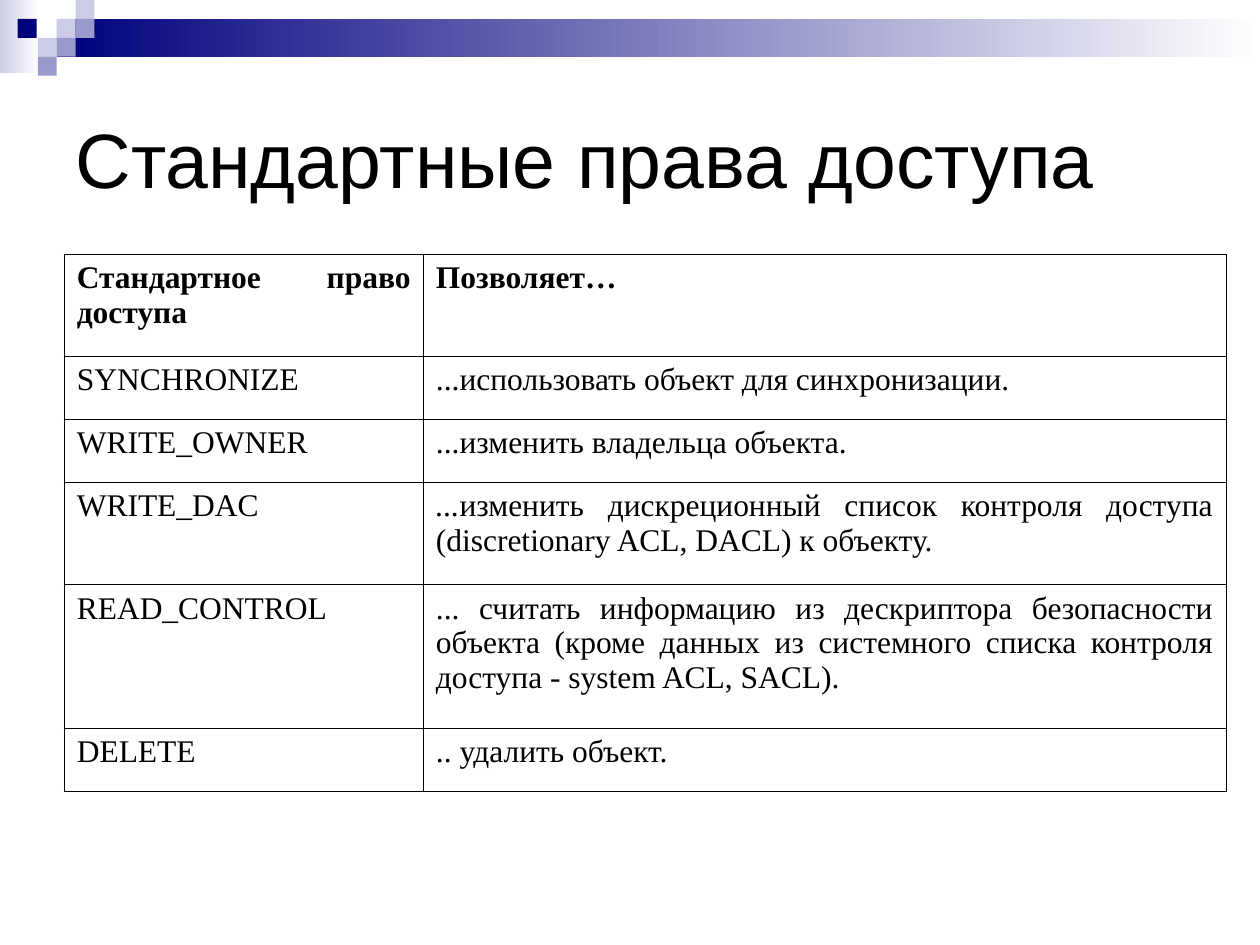
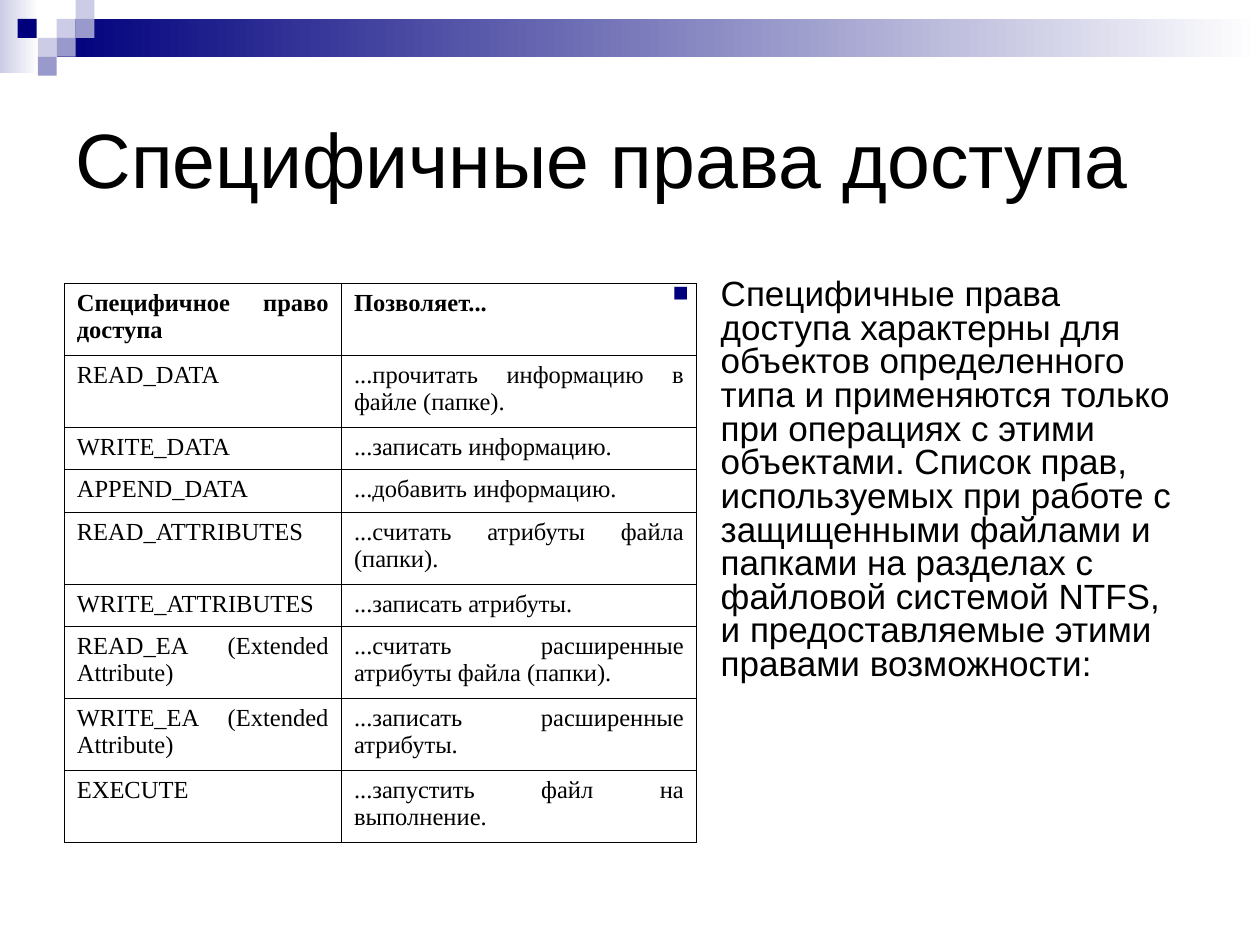
from lxml.etree import SubElement
from pptx import Presentation
from pptx.dml.color import RGBColor
from pptx.enum.shapes import MSO_SHAPE
from pptx.enum.text import MSO_ANCHOR, MSO_AUTO_SIZE, PP_ALIGN
from pptx.oxml.ns import qn
from pptx.util import Inches, Pt

COLORS = {
    "ink": "000000",
    "paper": "FFFFFF",
    "navy": "00007D",
    "violet": "9999CC",
    "lavender": "CCCCE6",
}
GRID_COLUMNS, GRID_ROWS = 100, 75
TITLE_ONLY, TITLE_AND_BODY = 5, 1
SQUARE = 1.5
FIRST_BAND_ID = 100

GRADIENTS = [
    ("lavender", (0, 0, 3.1, 5.8)),
    ("navy", (4.5, 1.5, 95.5, 3)),
]
SQUARES = [
    ("lavender", 4.5, 1.5),
    ("lavender", 6, 0),
    ("violet", 6, 1.5),
    ("lavender", 3, 3),
    ("navy", 1.4, 1.5),
    ("violet", 4.5, 3),
    ("violet", 3, 4.5),
]

STANDARD_RIGHTS = [
    ("Стандартное право доступа", "Позволяет…"),
    ("SYNCHRONIZE", "...использовать объект для синхронизации."),
    ("WRITE_OWNER", "...изменить владельца объекта."),
    ("WRITE_DAC", ("...", "изменить дискреционный список контроля доступа "
                   "(discretionary ACL, DACL) к объекту.")),
    ("READ_CONTROL", "... считать информацию из дескриптора безопасности объекта "
                     "(кроме данных из системного списка контроля доступа - system ACL, SACL)."),
    ("DELETE", ".. удалить объект."),
]
SPECIFIC_RIGHTS = [
    ("Специфичное право доступа", "Позволяет..."),
    ("READ_DATA", "...прочитать информацию в файле (папке)."),
    ("WRITE_DATA", "...записать информацию."),
    ("APPEND_DATA", "...добавить информацию."),
    ("READ_ATTRIBUTES", "...считать атрибуты файла (папки)."),
    ("WRITE_ATTRIBUTES", "...записать атрибуты."),
    ("READ_EA (Extended Attribute)", "...считать расширенные атрибуты файла (папки)."),
    ("WRITE_EA (Extended Attribute)", "...записать расширенные атрибуты."),
    ("EXECUTE", "...запустить файл на выполнение."),
]
SPECIFIC_NOTE = (
    "Специфичные права доступа характерны для объектов определенного типа и применяются "
    "только при операциях с этими объектами. Список прав, используемых при работе с "
    "защищенными файлами и папками на разделах с файловой системой NTFS, "
    "и предоставляемые этими правами возможности:"
)


def color(name):
    return RGBColor.from_string(COLORS[name])


def apply_format(target, values):
    for name, value in values.items():
        setattr(target, name, value)


class Deck:
    title_font = {"name": "Arial", "size": Pt(44)}
    body_font = {"name": "Arial", "size": Pt(20)}
    body_paragraph = {"line_spacing": 0.8, "space_before": Pt(5)}
    cell_margins = {
        "margin_left": Inches(0.1),
        "margin_right": Inches(0.1),
        "margin_top": Inches(0.05),
        "margin_bottom": Inches(0.05),
    }
    border_width = Pt(0.45)

    def __init__(self):
        self.presentation = Presentation()
        apply_format(self.presentation, {"slide_width": Inches(10), "slide_height": Inches(7.5)})
        self.column = self.presentation.slide_width / GRID_COLUMNS
        self.row = self.presentation.slide_height / GRID_ROWS
        self.slide = None

    def box(self, left, top, width, height):
        return (round(left * self.column), round(top * self.row),
                round(width * self.column), round(height * self.row))

    def place(self, shape, area):
        apply_format(shape, dict(zip(("left", "top", "width", "height"), self.box(*area))))

    def add_text(self, paragraph, text, font):
        run = paragraph.add_run()
        run.text = text
        apply_format(run.font, font)
        run.font.color.rgb = color("ink")

    def add_slide(self, layout, title):
        self.slide = self.presentation.slides.add_slide(self.presentation.slide_layouts[layout])
        shape = self.slide.shapes.title
        self.place(shape, (5, 5, 90, 15))
        frame = shape.text_frame
        apply_format(frame, {"auto_size": MSO_AUTO_SIZE.NONE, "word_wrap": True,
                             "vertical_anchor": MSO_ANCHOR.MIDDLE})
        paragraph = frame.paragraphs[0]
        paragraph.alignment = PP_ALIGN.LEFT
        self.add_text(paragraph, title, self.title_font)

    def add_rectangle(self, fill_name, area, gradient=False):
        shape = self.slide.shapes.add_shape(MSO_SHAPE.RECTANGLE, *self.box(*area))
        shape.shadow.inherit = False
        shape.line.fill.background()
        if gradient:
            shape.fill.gradient()
            shape.fill.gradient_angle = 0
            for stop, name in zip(shape.fill.gradient_stops, (fill_name, "paper")):
                stop.color.rgb = color(name)
        else:
            shape.fill.solid()
            shape.fill.fore_color.rgb = color(fill_name)
        return shape

    def add_master_band(self):
        band = [self.add_rectangle(name, area, gradient=True) for name, area in GRADIENTS]
        band += [self.add_rectangle(name, (left, top, SQUARE, SQUARE))
                 for name, left, top in SQUARES]
        master_tree = self.presentation.slide_master.shapes.element
        for index, shape in enumerate(band):
            shape.element.nvSpPr.cNvPr.set("id", str(FIRST_BAND_ID + index))
            master_tree.insert(2 + index, shape.element)

    def add_body(self, text, area):
        shape = self.slide.placeholders[1]
        self.place(shape, area)
        shape.text_frame.auto_size = MSO_AUTO_SIZE.NONE
        paragraph = shape.text_frame.paragraphs[0]
        apply_format(paragraph, self.body_paragraph)
        self.add_text(paragraph, text, self.body_font)
        self.add_bullet(paragraph)

    def add_bullet(self, paragraph):
        properties = paragraph._p.get_or_add_pPr()
        indent = Inches(0.38)
        properties.set("marL", str(indent))
        properties.set("indent", str(-indent))
        bullet_color = SubElement(properties, qn("a:buClr"))
        SubElement(bullet_color, qn("a:srgbClr"), val=COLORS["navy"])
        SubElement(properties, qn("a:buSzPct"), val="75000")
        SubElement(properties, qn("a:buFont"), typeface="Arial")
        SubElement(properties, qn("a:buChar"), char="■")

    def add_borders(self, cell):
        properties = cell._tc.get_or_add_tcPr()
        for side in ("lnL", "lnR", "lnT", "lnB"):
            line = SubElement(properties, qn(f"a:{side}"), w=str(self.border_width))
            fill = SubElement(line, qn("a:solidFill"))
            SubElement(fill, qn("a:srgbClr"), val=COLORS["ink"])

    def add_table(self, records, origin, widths, heights, size):
        area = (*origin, sum(widths), sum(heights))
        table = self.slide.shapes.add_table(len(records), len(widths), *self.box(*area)).table
        apply_format(table, {"first_row": False, "horz_banding": False})
        for column, width in zip(table.columns, widths):
            column.width = round(width * self.column)
        for row, height in zip(table.rows, heights):
            row.height = round(height * self.row)
        for row_index, record in enumerate(records):
            for column_index, content in enumerate(record):
                self.fill_cell(table.cell(row_index, column_index), content, size, row_index == 0)

    def fill_cell(self, cell, content, size, bold):
        apply_format(cell, self.cell_margins)
        self.add_borders(cell)
        cell.fill.background()
        paragraph = cell.text_frame.paragraphs[0]
        paragraph.alignment = PP_ALIGN.JUSTIFY
        font = {"name": "Times New Roman", "size": Pt(size), "bold": bold}
        lead, text = content if isinstance(content, tuple) else ("", content)
        if lead:
            self.add_text(paragraph, lead, {**font, "italic": True})
        self.add_text(paragraph, text, font)


def main():
    deck = Deck()

    deck.add_slide(TITLE_ONLY, "Стандартные права доступа")
    deck.add_master_band()
    one_line, two_lines, three_lines = 5, 8.1, 11.4
    deck.add_table(STANDARD_RIGHTS, (5.1, 20.2), (28.5, 63.7),
                   (two_lines, one_line, one_line, two_lines, three_lines, one_line), 18)

    deck.add_slide(TITLE_AND_BODY, "Специфичные права доступа")
    deck.add_body(SPECIFIC_NOTE, (52.4, 21.7, 42.6, 44.2))
    one_line, two_lines = 3.38, 5.7
    short_rows = {"WRITE_DATA", "APPEND_DATA", "WRITE_ATTRIBUTES"}
    heights = [one_line if right in short_rows else two_lines for right, _ in SPECIFIC_RIGHTS]
    deck.add_table(SPECIFIC_RIGHTS, (5.1, 22.5), (22, 28.2), heights, 14)

    deck.presentation.save("out.pptx")


if __name__ == "__main__":
    main()
